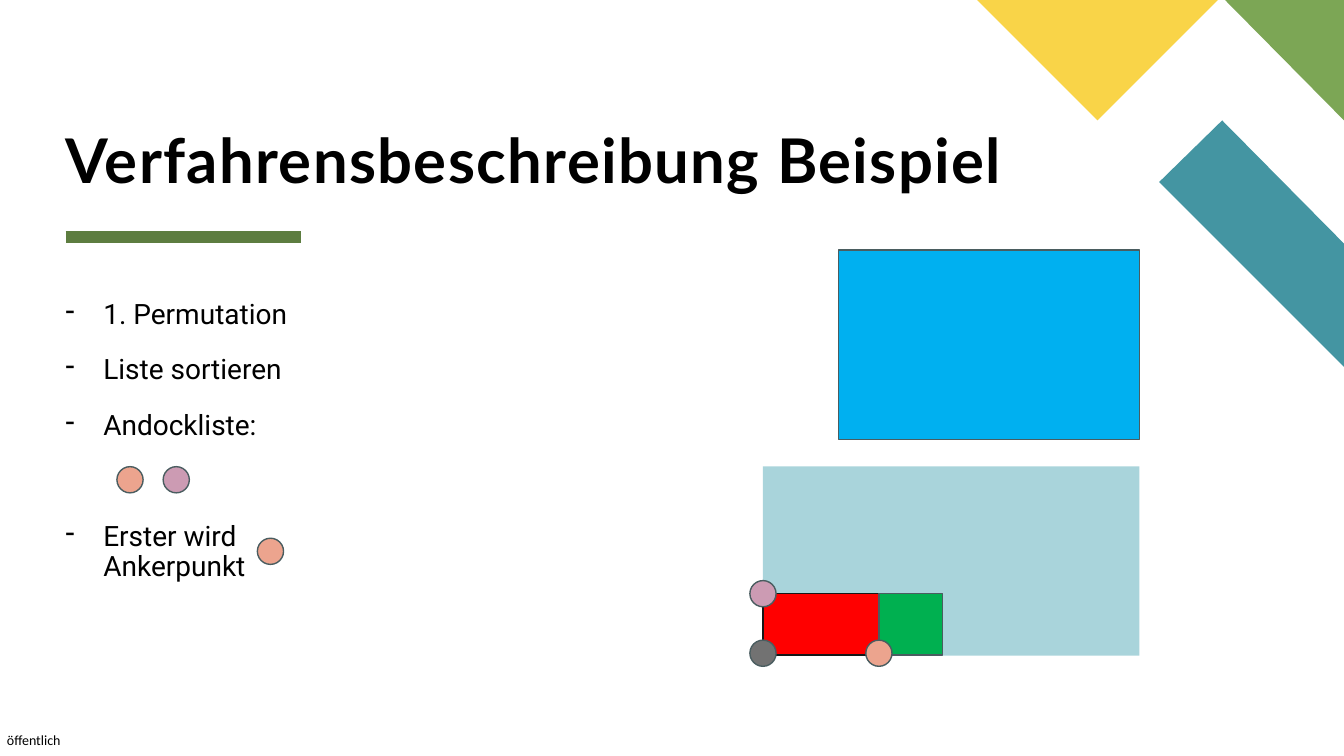
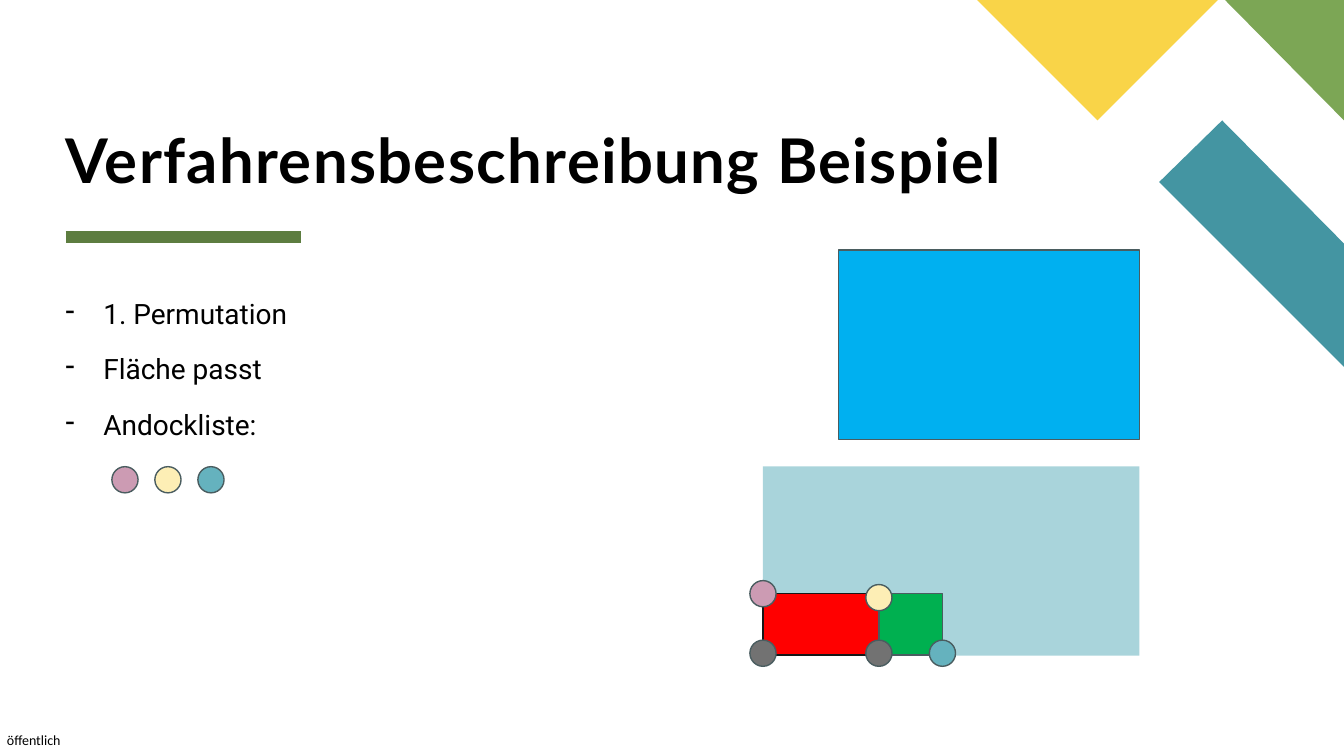
from dataclasses import dataclass

from lxml import etree
from pptx import Presentation
from pptx import util as u
from pptx.dml.color import RGBColor
from pptx.enum import shapes, text
from pptx.oxml.ns import qn

BLACK, OUTLINE = "000000", "4A5D60"
GREY, ROSE, SALMON = "727272", "CC9BB3", "ECA48E"
CREAM, TEAL = "FDEEB5", "65B2BE"

LEFT = 46.8
DOT = 18.7
LIST_Y = 342.7                                       # dots below "Andockliste:"
RED_X, GREEN_X, GREEN_END = 545, 627.8, 673.2        # edges of the placed parts
PART_TOP, PART_BOTTOM = 424.1, 468
DOT_BOTTOM = 466.6


@dataclass
class Box:
    x: float
    y: float
    w: float
    h: float
    fill: str
    line: str | None = OUTLINE


@dataclass
class Dot:
    """A docking point, placed by its centre."""
    x: float
    y: float
    fill: str


@dataclass
class Item:
    text: str
    before: float = 18


@dataclass
class Corner:
    points: list[tuple[float, float]]
    fill: str


@dataclass
class Step:
    items: list[Item]
    dots: list[Dot]


CORNERS = [
    Corner([(960, 262), (960, 173.5), (872.6, 85.7), (828.2, 129.6)], "4495A2"),
    Corner([(960, 85.7), (960, 0), (874.6, 0)], "7CA655"),
    Corner([(698.2, 0), (784.2, 85.8), (870.3, 0)], "F9D448"),
]

BOXES = [
    Box(599, 178.6, 214.8, 135.2, "00B0F0"),
    Box(RED_X, 333.2, 268.9, 135.2, "A9D4DB", None),
    Box(RED_X, PART_TOP, GREEN_X - RED_X, PART_BOTTOM - PART_TOP, "FF0000", "171717"),
    Box(GREEN_X, PART_TOP, GREEN_END - GREEN_X, PART_BOTTOM - PART_TOP, "00B050"),
]

COMMON_DOTS = [Dot(RED_X, DOT_BOTTOM, GREY), Dot(RED_X, PART_TOP, ROSE)]


def list_dots(first_x: float, gap: float, fills: list[str]) -> list[Dot]:
    return [Dot(first_x + i * gap, LIST_Y, fill) for i, fill in enumerate(fills)]


STEPS = [
    Step(
        [Item("1. Permutation"), Item("Liste sortieren"), Item("Andockliste:"),
         Item("Erster wird Ankerpunkt", before=57.6)],
        [Dot(GREEN_X, DOT_BOTTOM, SALMON), Dot(193.2, 393.8, SALMON),
         *list_dots(92.9, 33, [SALMON, ROSE])],
    ),
    Step(
        [Item("1. Permutation"), Item("Fläche passt"), Item("Andockliste:")],
        [Dot(GREEN_X, 426.9, CREAM), Dot(GREEN_END, DOT_BOTTOM, TEAL),
         Dot(GREEN_X, DOT_BOTTOM, GREY),
         *list_dots(89.3, 30.7, [ROSE, CREAM, TEAL])],
    ),
]


def rgb(value: str) -> RGBColor:
    return RGBColor.from_string(value)


def paint(sp, fill: str, line: str | None = None) -> None:
    sp.shadow.inherit = False
    sp.fill.solid()
    sp.fill.fore_color.rgb = rgb(fill)
    if line:
        sp.line.color.rgb = rgb(line)
        sp.line.width = u.Pt(1)
    else:
        sp.line.fill.background()


def add_preset(s, kind, box: Box) -> None:
    sp = s.shapes.add_shape(kind, u.Pt(box.x), u.Pt(box.y), u.Pt(box.w), u.Pt(box.h))
    paint(sp, box.fill, box.line)


def add_dot(s, dot: Dot) -> None:
    box = Box(dot.x - DOT / 2, dot.y - DOT / 2, DOT, DOT, dot.fill)
    add_preset(s, shapes.MSO_SHAPE.OVAL, box)


def add_corner(s, corner: Corner) -> None:
    builder = s.shapes.build_freeform(*corner.points[0], scale=u.Pt(1))
    builder.add_line_segments(corner.points[1:], close=True)
    paint(builder.convert_to_shape(), corner.fill)


def add_text_frame(s, x: float, y: float, w: float, h: float):
    """Add a text box without margins and return its text frame."""
    tf = s.shapes.add_textbox(u.Pt(x), u.Pt(y), u.Pt(w), u.Pt(h)).text_frame
    tf.margin_left = tf.margin_top = tf.margin_right = tf.margin_bottom = 0
    return tf


def style(p, font: str, size: float, bold: bool = False) -> None:
    for r in p.runs:
        r.font.name, r.font.size, r.font.bold = font, u.Pt(size), bold
        r.font.color.rgb = rgb(BLACK)


def add_rule(s) -> None:
    line = s.shapes.add_connector(shapes.MSO_CONNECTOR.STRAIGHT, u.Pt(LEFT),
                                  u.Pt(169.3), u.Pt(214.8), u.Pt(169.3))
    line.line.color.rgb = rgb("5D7D40")
    line.line.width = u.Pt(8)
    etree.SubElement(line._element.spPr, qn("a:effectLst"))


def add_title(s, title: str) -> None:
    tf = add_text_frame(s, LEFT, 15.8, 864, 123.8)
    tf.word_wrap = True
    tf.vertical_anchor = text.MSO_ANCHOR.BOTTOM
    tf.text = title
    p = tf.paragraphs[0]
    p.line_spacing = 0.8
    style(p, "Lato", 44, bold=True)
    p.runs[0].font._element.set("spc", "100")


def add_footer(s) -> None:
    tf = add_text_frame(s, 5, 522.7, 41, 12.2)
    tf.word_wrap = False
    tf.text = "öffentlich"
    style(tf.paragraphs[0], "Calibri", 10)


def add_items(s, items: list[Item]) -> None:
    tf = add_text_frame(s, LEFT, 211, 198.7, 283)
    tf.word_wrap = True
    tf.margin_top = tf.margin_bottom = u.Pt(3.6)
    tf.margin_right = u.Pt(7.2)
    for i, item in enumerate(items):
        p = tf.add_paragraph() if i else tf.paragraphs[0]
        p.text = item.text
        p.line_spacing = 0.9
        p.space_before = u.Pt(item.before)
        style(p, "Roboto", 20)
        pPr = p._p.get_or_add_pPr()
        pPr.set("marL", str(u.Pt(27)))
        pPr.set("indent", str(-u.Pt(27)))
        etree.SubElement(pPr, qn("a:buChar"), char="-")


def add_step(prs, step: Step) -> None:
    s = prs.slides.add_slide(prs.slide_layouts[6])
    add_footer(s)
    for corner in CORNERS:
        add_corner(s, corner)
    add_rule(s)
    add_title(s, "Verfahrensbeschreibung Beispiel")
    add_items(s, step.items)
    for box in BOXES:
        add_preset(s, shapes.MSO_SHAPE.RECTANGLE, box)
    for dot in COMMON_DOTS + step.dots:
        add_dot(s, dot)


def main() -> None:
    prs = Presentation()
    prs.slide_width, prs.slide_height = u.Pt(960), u.Pt(540)
    for step in STEPS:
        add_step(prs, step)
    prs.save("out.pptx")


if __name__ == "__main__":
    main()
